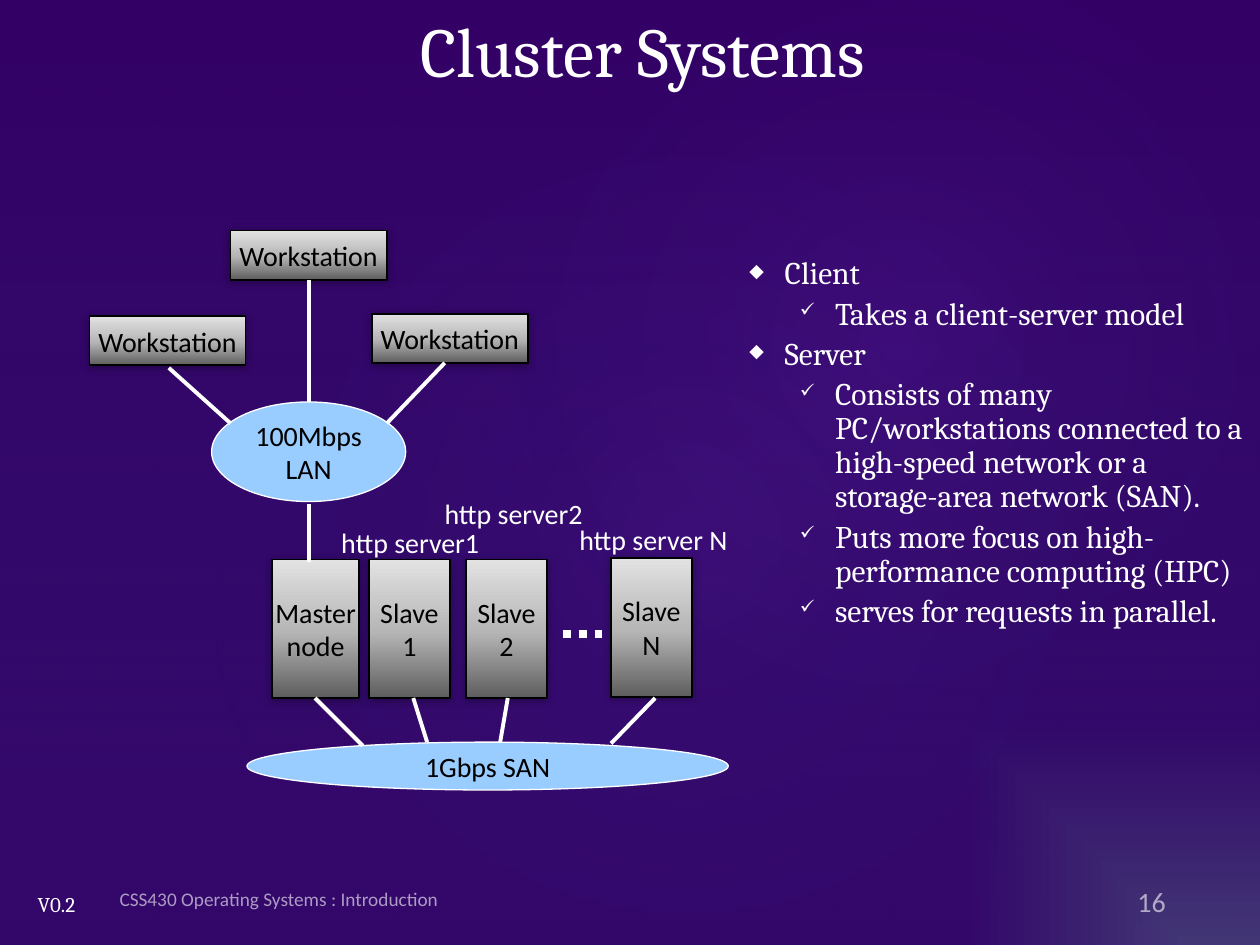
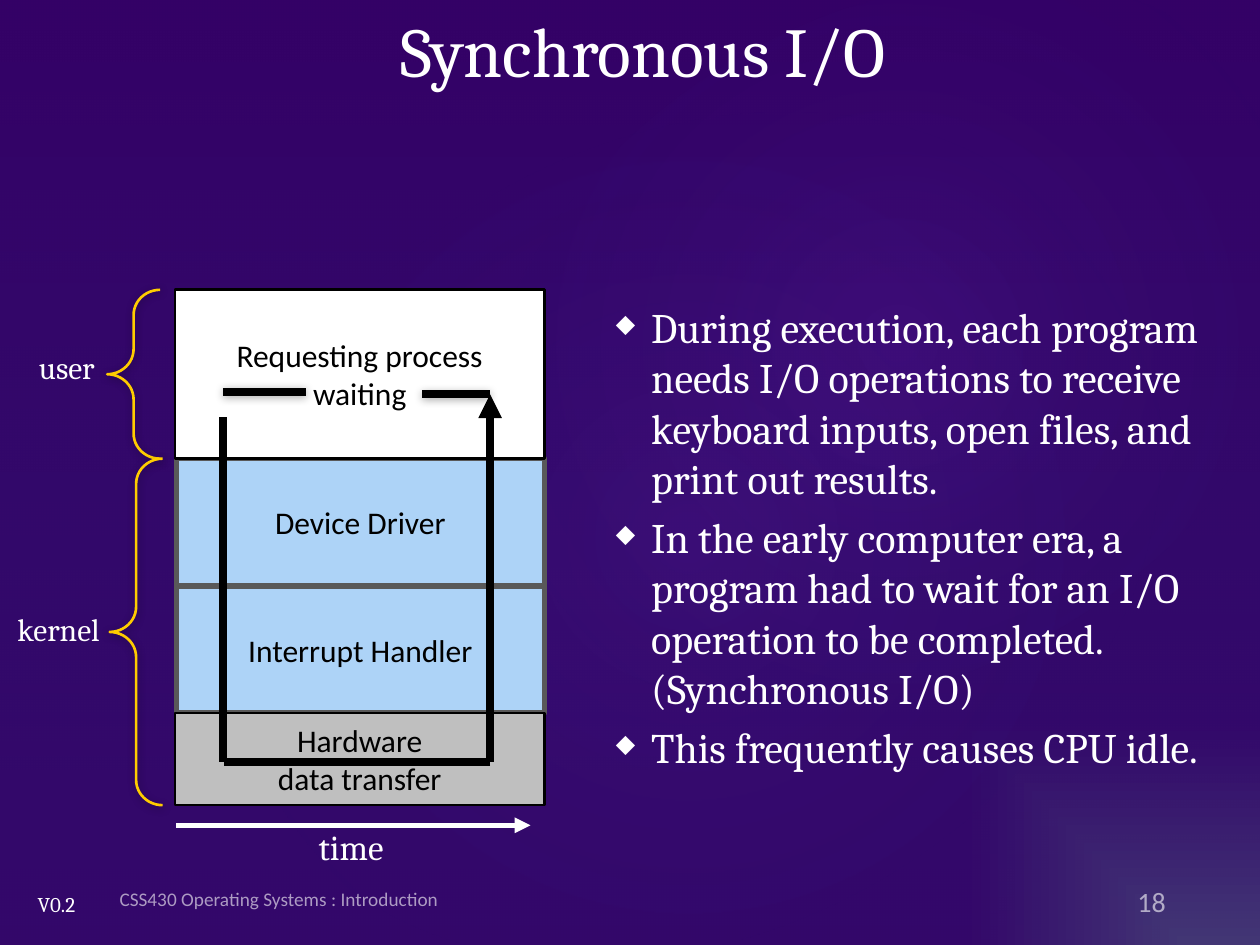
"""Build two operating systems lecture slides: cluster systems and synchronous I/O."""
from dataclasses import dataclass

from lxml import etree
from pptx import Presentation
from pptx.dml.color import RGBColor
from pptx.enum.dml import MSO_LINE
from pptx.enum.shapes import MSO_CONNECTOR, MSO_SHAPE
from pptx.enum.text import MSO_ANCHOR, MSO_AUTO_SIZE, PP_ALIGN
from pptx.oxml import parse_xml
from pptx.oxml.ns import nsdecls, qn
from pptx.util import Inches, Pt

RECT, OVAL, BRACE = MSO_SHAPE.RECTANGLE, MSO_SHAPE.OVAL, MSO_SHAPE.RIGHT_BRACE
STRAIGHT, DOTTED = MSO_CONNECTOR.STRAIGHT, MSO_LINE.ROUND_DOT
LEFT, CENTER, RIGHT = PP_ALIGN.LEFT, PP_ALIGN.CENTER, PP_ALIGN.RIGHT
TOP, MIDDLE = MSO_ANCHOR.TOP, MSO_ANCHOR.MIDDLE
FIT = MSO_AUTO_SIZE.SHAPE_TO_FIT_TEXT


@dataclass(frozen=True)
class Theme:
    serif: str = "Cambria"
    sans: str = "Calibri"
    white: str = "FFFFFF"
    black: str = "000000"
    network: str = "99CCFF"
    kernel: str = "ADD3F7"
    kernel_edge: str = "595959"
    hardware: str = "BFBFBF"
    brace: str = "FFCC00"
    title: int = 40
    body: int = 24
    time: int = 20
    label: int = 18
    node: int = 16
    version: int = 12
    footer: int = 11


T = Theme()
CORNER = '<a:path path="rect"><a:fillToRect l="100000" t="100000"/></a:path>'
RADIAL = '<a:path path="circle"><a:fillToRect l="50000" t="50000" r="50000" b="50000"/></a:path>'
DOWN = '<a:lin ang="5400000" scaled="0"/>'
UP = '<a:lin ang="16200000" scaled="0"/>'
BACKDROP = ([(0, "463673", 100), (47, "350267", 100)], CORNER)
VEIL = ([(0, "330066", 36), (100, "263B86", 10)], DOWN)
STEEL = ([(0, "5E5E5E", 100), (48, "B6B6B6", 100), (100, "E2E2E2", 100)], UP)
BULLETS = [("◆", 0.3), ("✓", 0.7)]


def paint(obj, props, fill=None, line=None, width=1, shadow=False):
    if isinstance(fill, tuple):
        stops, direction = fill
        gs = "".join(f'<a:gs pos="{pos * 1000}"><a:srgbClr val="{color}"><a:alpha val="{alpha * 1000}"/>'
                     f'</a:srgbClr></a:gs>' for pos, color, alpha in stops)
        obj.fill.solid()
        props.replace(props.find(qn("a:solidFill")), parse_xml(
            f'<a:gradFill {nsdecls("a")} rotWithShape="1"><a:gsLst>{gs}</a:gsLst>{direction}</a:gradFill>'))
    elif fill:
        obj.fill.solid()
        obj.fill.fore_color.rgb = RGBColor.from_string(fill)
    if line:
        obj.line.color.rgb = RGBColor.from_string(line)
        obj.line.width = Pt(width)
    effects = props.find(qn("a:effectLst"))
    if effects is None:
        effects = etree.SubElement(props, qn("a:effectLst"))
    if shadow:
        effects.append(parse_xml(
            f'<a:outerShdw {nsdecls("a")} blurRad="{Pt(5)}" dist="{Pt(1)}" dir="5400000" rotWithShape="0">'
            '<a:srgbClr val="000000"><a:alpha val="32000"/></a:srgbClr></a:outerShdw>'))


def write(sp, text, size, font=T.sans, color=T.white, align=LEFT, anchor=MIDDLE,
          wrap=True, fit=False, alpha=100, levels=None, spacing=None):
    tf = sp.text_frame
    tf.word_wrap, tf.vertical_anchor = wrap, anchor
    if fit:
        tf.auto_size = FIT
    for i, line in enumerate(text.split("\n")):
        p = tf.add_paragraph() if i else tf.paragraphs[0]
        p.alignment = align
        if levels:
            char, margin = BULLETS[levels[i]]
            p.level = levels[i]
            pPr = p._p.get_or_add_pPr()
            pPr.set("marL", str(Inches(margin)))
            pPr.set("indent", str(Inches(-0.28)))
            etree.SubElement(pPr, qn("a:buSzPct"), val="60000")
            etree.SubElement(pPr, qn("a:buChar"), char=char)
            if i:
                p.space_before = Pt(size * 0.2)
        if spacing:
            p.line_spacing = spacing
        r = p.add_run()
        r.text = line
        r.font.name, r.font.size = font, Pt(size)
        r.font.color.rgb = RGBColor.from_string(color)
        if alpha < 100:
            rgb = r.font.fill._xPr.find(".//" + qn("a:srgbClr"))
            etree.SubElement(rgb, qn("a:alpha"), val=str(alpha * 1000))
    return tf


prs = Presentation()
prs.slide_width, prs.slide_height = Inches(10), Inches(7.5)
master = prs.slide_master
master.background.fill.solid()
paint(master.background, master.element.cSld.bg.bgPr, BACKDROP)

decorations = [(RECT, (0, 0, 10, 7.5), 0, VEIL)]
for box, alpha in [((1.5, 1.14, 7.92, 6.24), 7), ((3.58, 0.13, 7.09, 5.2), 8)]:
    glow = ([(0, "A347FF", alpha), (58, "263B86", 0)], RADIAL)
    decorations.append((OVAL, box, 328.7, glow))

contents = [
    ("Cluster Systems", "16", (5.83, 1.43, 4.17, 4.18), T.label, 0.9, [
        (0, "Client"),
        (1, "Takes a client-server model"),
        (0, "Server"),
        (1, "Consists of many PC/workstations connected to a high-speed network "
            "or a storage-area network (SAN)."),
        (1, "Puts more focus on high-performance computing (HPC)"),
        (1, "serves for requests in parallel."),
    ]),
    ("Synchronous I/O", "18", (4.77, 2.01, 5.23, 4.5), T.body, None, [
        (0, "During execution, each program needs I/O operations to receive keyboard inputs, "
            "open files, and print out results."),
        (0, "In the early computer era, a program had to wait for an I/O operation "
            "to be completed. (Synchronous I/O)"),
        (0, "This frequently causes CPU idle."),
    ]),
]

slides = []
for title, number, body_box, body_size, spacing, bullets in contents:
    s = prs.slides.add_slide(prs.slide_layouts[6])
    slides.append(s)
    for shape, box, angle, fill in decorations:
        sp = s.shapes.add_shape(shape, *map(Inches, box))
        sp.rotation = angle
        paint(sp, sp.element.spPr, fill)
        sp.line.fill.background()
    levels, lines = zip(*bullets)
    for box, text, size, fmt in [
        ((0.2, 7.03, 0.53, 0.3), "V0.2", T.version, dict(font=T.serif, anchor=TOP, wrap=False, fit=True)),
        ((0.85, 0, 8.5, 0.79), title, T.title, dict(font=T.serif, align=CENTER)),
        ((0.85, 6.93, 5.05, 0.4), "CSS430 Operating Systems : Introduction", T.footer, dict(alpha=60)),
        (body_box, "\n".join(lines), body_size, dict(font=T.serif, levels=levels, spacing=spacing)),
    ]:
        write(s.shapes.add_textbox(*map(Inches, box)), text, size, **fmt)
    sp = s.shapes.add_textbox(*map(Inches, (8.23, 6.93, 1.12, 0.4)))
    tf = write(sp, number, T.node, align=RIGHT, alpha=60)
    tf.margin_bottom = Inches(0.01)

cluster, sync = slides

for box, text in [((1.68, 3.19, 1.54, 0.79), "100Mbps\nLAN"), ((1.96, 5.89, 3.82, 0.38), "1Gbps SAN")]:
    sp = cluster.shapes.add_shape(OVAL, *map(Inches, box))
    paint(sp, sp.element.spPr, T.network, T.white, 0.75)
    write(sp, text, T.node, color=T.black, align=CENTER, wrap=False)

machines = [((x, y, 1.24, 0.39), "Workstation") for x, y in [(1.83, 1.83), (0.71, 2.51), (2.95, 2.49)]]
machines.append(((2.16, 4.44, 0.69, 1.1), "Master\nnode"))
machines += [((x, y, 0.64, 1.1), f"Slave\n{n}")
             for x, y, n in [(2.93, 4.44, 1), (3.7, 4.44, 2), (4.85, 4.43, "N")]]
for box, text in machines:
    sp = cluster.shapes.add_shape(RECT, *map(Inches, box))
    paint(sp, sp.element.spPr, STEEL, T.black, 1, shadow=True)
    write(sp, text, T.node, color=T.black, align=CENTER, wrap=False)

for box, text, fill, edge, width in [
    ((1.4, 4.65, 2.92, 1.01), "Interrupt Handler", T.kernel, T.kernel_edge, 3),
    ((1.39, 5.66, 2.93, 0.73), "Hardware\ndata transfer", T.hardware, T.black, 1.5),
    ((1.4, 3.64, 2.92, 1.01), "Device Driver", T.kernel, T.kernel_edge, 3),
    ((1.39, 2.3, 2.93, 1.34), "Requesting process\nwaiting", T.white, T.black, 1.5),
]:
    sp = sync.shapes.add_shape(RECT, *map(Inches, box))
    paint(sp, sp.element.spPr, fill, edge, width)
    write(sp, text, T.label, color=T.black, align=CENTER)

for box in [(0.85, 2.3, 0.42, 1.34), (0.87, 3.64, 0.42, 2.75)]:
    sp = sync.shapes.add_shape(BRACE, *map(Inches, box))
    sp.rotation = 180
    sp.adjustments[0], sp.adjustments[1] = 0.476, 0.5
    sp.fill.background()
    paint(sp, sp.element.spPr, None, T.brace, 1.5, shadow=True)

for s, box, text, size, font in [
    (cluster, (2.61, 4.12, 1.31, 0.37), "http server1", T.node, T.sans),
    (cluster, (3.43, 3.89, 1.31, 0.37), "http server2", T.node, T.sans),
    (cluster, (4.5, 4.1, 1.4, 0.37), "http server N", T.node, T.sans),
    (sync, (0.21, 2.71, 0.68, 0.4), "user", T.label, T.serif),
    (sync, (0.04, 4.79, 0.9, 0.4), "kernel", T.label, T.serif),
    (sync, (2.43, 6.5, 0.74, 0.43), "time", T.time, T.serif),
]:
    sp = s.shapes.add_textbox(*map(Inches, box))
    write(sp, text, size, font=font, anchor=TOP, wrap=False, fit=True)

links = [
    (2.45, 2.22, 2.45, 3.19), (1.34, 2.92, 1.83, 3.36), (3.53, 2.88, 3.07, 3.36),
    (2.45, 4, 2.45, 4.46), (2.5, 5.54, 2.88, 5.92), (3.28, 5.54, 3.39, 5.89),
    (4.03, 5.54, 3.97, 5.89), (5.2, 5.54, 4.85, 5.9),
]
waits = [(1.77, 3.11, 2.43, 3.11), (3.35, 3.13, 3.89, 3.13)]
request = [(1.77, 3.31, 1.77, 6.05), (3.89, 6.05, 1.78, 6.05)]
for s, ends, color, width, shadow, dash, arrow in [
    (cluster, links, T.white, 2.25, False, None, False),
    (cluster, [(4.47, 5.03, 4.78, 5.03)], T.white, 4.5, False, DOTTED, False),
    (sync, [(1.4, 6.55, 4.21, 6.55)], T.white, 3, False, None, True),
    (sync, waits, T.black, 4.5, True, None, False),
    (sync, request, T.black, 4.5, False, None, False),
    (sync, [(3.89, 6.05, 3.89, 3.13)], T.black, 4.5, False, None, True),
]:
    for points in ends:
        sp = s.shapes.add_connector(STRAIGHT, *map(Inches, points))
        paint(sp, sp.element.spPr, None, color, width, shadow)
        if dash:
            sp.line.dash_style = dash
        if arrow:
            etree.SubElement(sp.element.spPr.find(qn("a:ln")), qn("a:tailEnd"), type="triangle")

prs.save("out.pptx")
